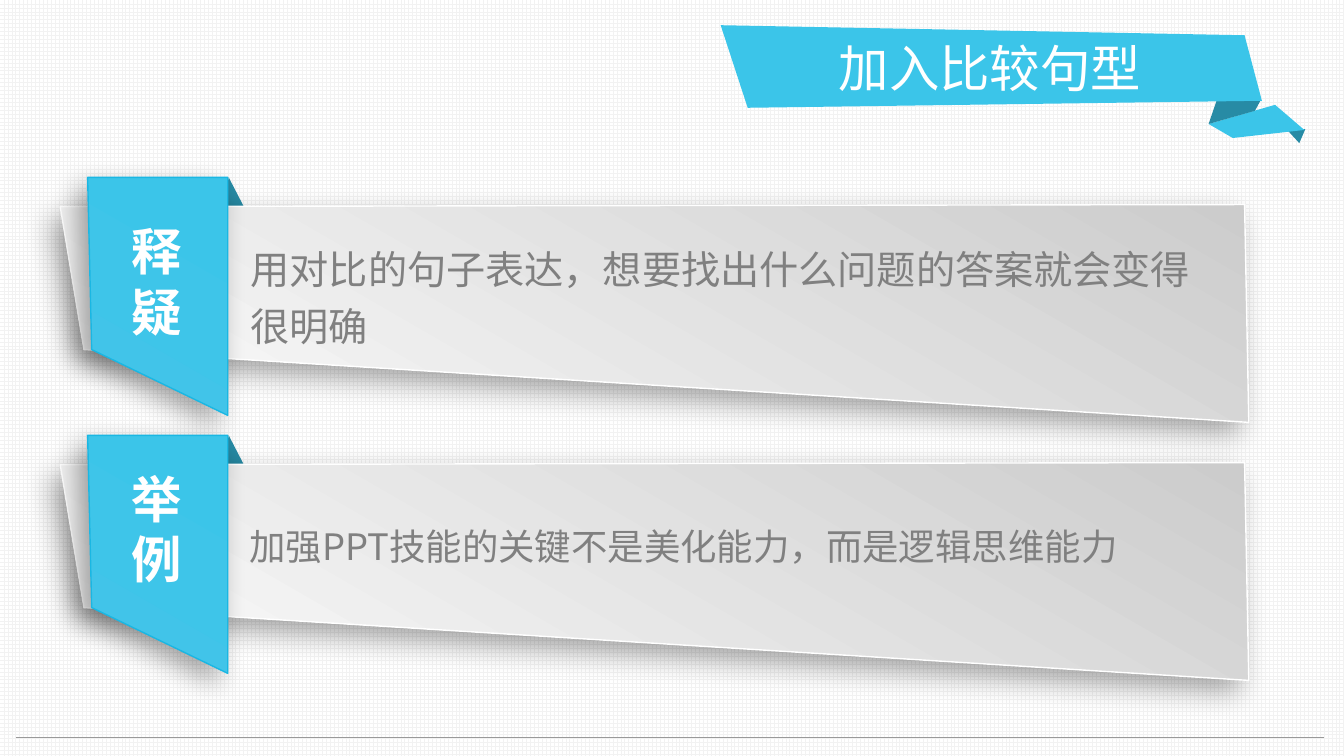
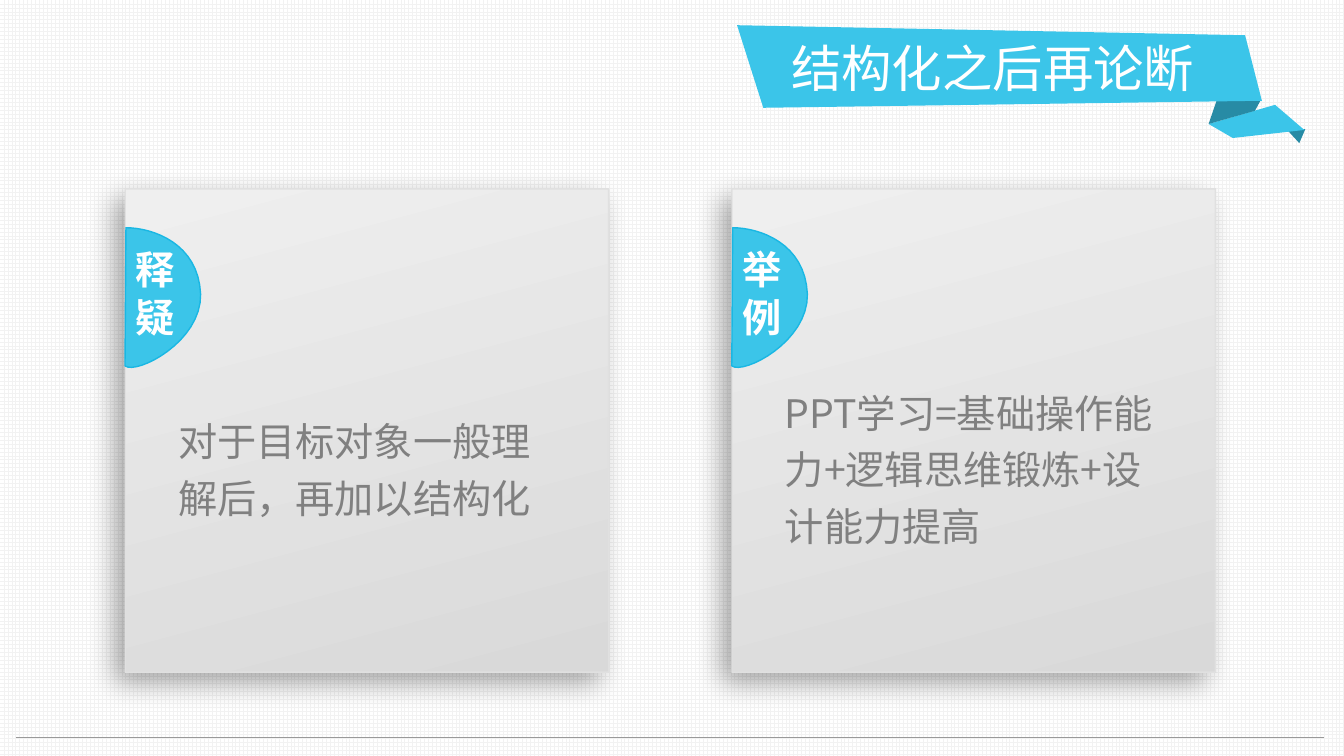
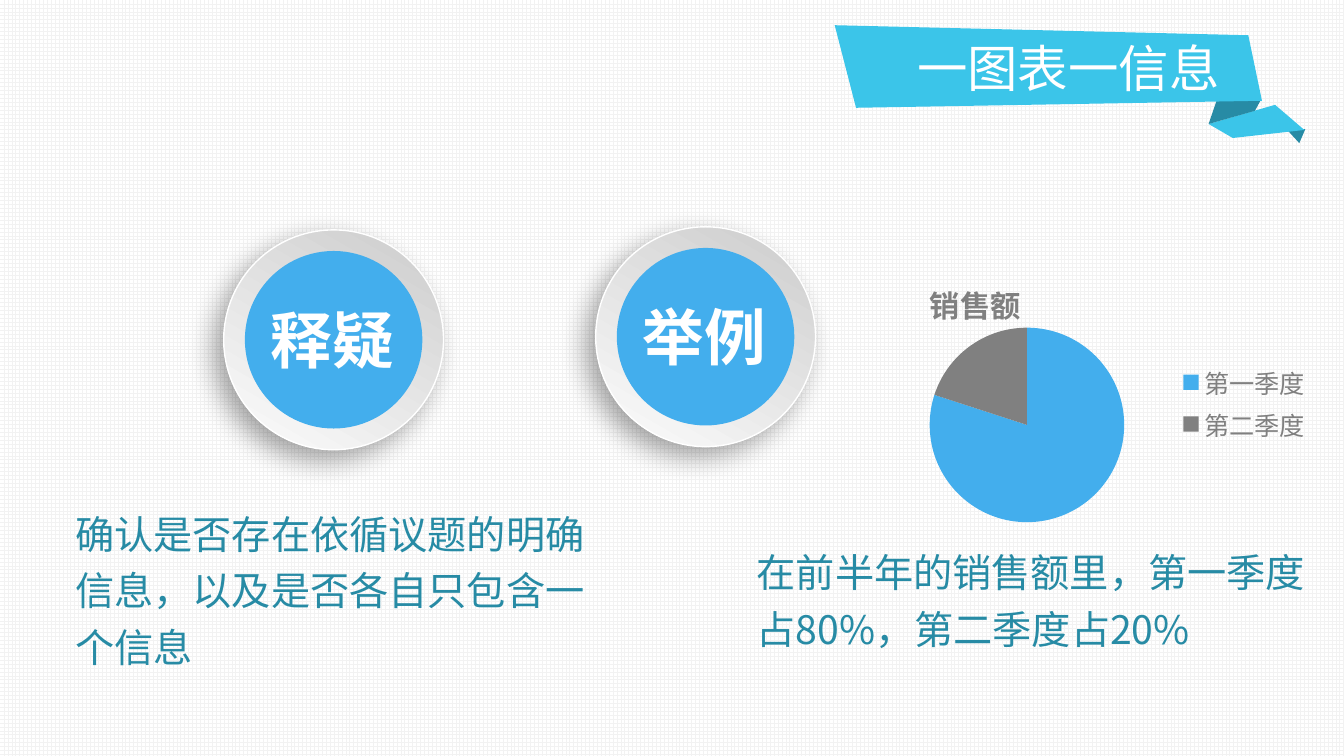
from lxml.etree import SubElement
from pptx import Presentation
from pptx.chart.data import CategoryChartData
from pptx.dml.color import RGBColor
from pptx.enum.chart import XL_CHART_TYPE, XL_LEGEND_POSITION
from pptx.enum.dml import MSO_PATTERN
from pptx.enum.shapes import MSO_CONNECTOR, MSO_SHAPE
from pptx.oxml.ns import qn
from pptx.util import Pt

FONT = "Noto Sans CJK SC"
WHITE = RGBColor(0xFF, 0xFF, 0xFF)
GRID = RGBColor(0xF2, 0xF2, 0xF2)
CYAN = RGBColor(0x3B, 0xC5, 0xE9)
CYAN_SOFT = RGBColor(0x41, 0xC4, 0xE9)
CYAN_EDGE = RGBColor(0x1A, 0xB7, 0xE3)
TEAL = RGBColor(0x27, 0x8B, 0xA5)
BLUE = RGBColor(0x43, 0xAE, 0xED)
GRAY = RGBColor(0x80, 0x80, 0x80)
RULE_GRAY = RGBColor(0x99, 0x99, 0x99)
CARD_EDGE = RGBColor(0xE0, 0xE0, 0xE0)
SILVER = [RGBColor(0xCC, 0xCC, 0xCC), RGBColor(0xFC, 0xFC, 0xFC)]
CYAN_BLEND = [CYAN, CYAN_SOFT]

RIBBON_RIGHT = 901.4
RIBBON_TAIL = (
    (TEAL, [(920.2, 93.6), (928.1, 102.2), (932.4, 92.2)]),
    (CYAN, [(910.8, 74.9), (863.3, 88.6), (880.6, 98.6), (931.7, 92.9)]),
    (TEAL, [(900.7, 71.3), (869, 72), (863.3, 88.6), (896.4, 79.2)]),
)


def bezier(start, first, second, end, steps=16):
    points = []
    for step in range(1, steps + 1):
        t = step / steps
        weights = ((1 - t) ** 3, 3 * t * (1 - t) ** 2, 3 * t * t * (1 - t), t ** 3)
        corners = (start, first, second, end)
        points.append(tuple(sum(w * c[axis] for w, c in zip(weights, corners))
                            for axis in (0, 1)))
    return points


class Deck:
    """Holds the shared style and the slide being built."""

    def __init__(self):
        self.presentation = Presentation()
        self.presentation.slide_width = Pt(960)
        self.presentation.slide_height = Pt(540)
        fill = self.presentation.slide_master.background.fill
        fill.patterned()
        fill.pattern = MSO_PATTERN.LARGE_GRID
        fill.fore_color.rgb = GRID
        fill.back_color.rgb = WHITE
        self.slide = None

    def new_slide(self, title, ribbon_left, title_left, title_width):
        self.slide = self.presentation.slides.add_slide(
            self.presentation.slide_layouts[6])
        for color, points in RIBBON_TAIL:
            self.outline(points, color)
        width = RIBBON_RIGHT - ribbon_left
        self.outline([(RIBBON_RIGHT - 0.032 * width, 25.2), (ribbon_left, 18),
                      (ribbon_left + 0.05 * width, 77), (RIBBON_RIGHT, 72)], CYAN)
        self.text([title], title_left, 23, title_width, 51, 36, WHITE)

    def style_font(self, font, size, color, bold=False):
        font.size = Pt(size)
        font.bold = bold
        font.name = FONT
        font.color.rgb = color
        SubElement(font._element, qn("a:ea"), typeface=FONT)

    def style_shape(self, shape, fill, edge=None, shadow=False):
        if isinstance(fill, list):
            shape.fill.gradient()
            shape.fill.gradient_angle = 240
            for stop, color in zip(shape.fill.gradient_stops, fill):
                stop.color.rgb = color
        else:
            shape.fill.solid()
            shape.fill.fore_color.rgb = fill
        if edge is None:
            shape.line.fill.background()
        else:
            shape.line.color.rgb = edge
            shape.line.width = Pt(1)
        shape.shadow.inherit = False
        if shadow:
            effects = shape._element.spPr.find(qn("a:effectLst"))
            outer = SubElement(effects, qn("a:outerShdw"), blurRad=str(int(Pt(20))),
                               dist=str(int(Pt(10))), dir=str(136 * 60000),
                               algn="ctr", rotWithShape="0")
            color = SubElement(outer, qn("a:srgbClr"), val="000000")
            SubElement(color, qn("a:alpha"), val="34000")

    def outline(self, points, fill, edge=None, shadow=False):
        corners = [(Pt(x), Pt(y)) for x, y in points]
        builder = self.slide.shapes.build_freeform(*corners[0])
        builder.add_line_segments(corners[1:], close=True)
        self.style_shape(builder.convert_to_shape(), fill, edge, shadow)

    def preset(self, kind, left, top, size, fill, edge=None, shadow=False, rotation=0):
        shape = self.slide.shapes.add_shape(kind, Pt(left), Pt(top), Pt(size), Pt(size))
        shape.rotation = rotation
        self.style_shape(shape, fill, edge, shadow)

    def text(self, lines, left, top, width, height, size, color, bold=False, spacing=None):
        box = self.slide.shapes.add_textbox(Pt(left), Pt(top), Pt(width), Pt(height))
        frame = box.text_frame
        frame.word_wrap = True
        frame.text = "\n".join(lines)
        for paragraph in frame.paragraphs:
            paragraph.line_spacing = spacing
            self.style_font(paragraph.font, size, color, bold)

    def bottom_rule(self):
        line = self.slide.shapes.add_connector(
            MSO_CONNECTOR.STRAIGHT, Pt(11.5), Pt(527), Pt(946), Pt(527))
        line.line.color.rgb = RULE_GRAY
        line.line.width = Pt(0.75)
        SubElement(line._element.spPr, qn("a:effectLst"))

    def banner(self, top, label, label_top):
        self.outline([(159.8, top + 20.2), (163.4, top), (174.2, top + 20.9)], TEAL)
        self.outline([(43, top + 20.9), (889, top + 19.4), (892, top + 175),
                      (60, top + 123)], SILVER, WHITE, True)
        self.outline([(62.6, top), (162.7, top), (162.7, top + 170),
                      (65.5, top + 123)], CYAN_BLEND, CYAN_EDGE, True)
        self.text(label, 87, label_top, 51.2, 94.3, 36, WHITE, True)

    def card(self, left, label, body, body_top, body_height):
        self.preset(MSO_SHAPE.DIAMOND, left, 63.4, 488.2, SILVER, CARD_EDGE, True, 135)
        self.text([body], left + 102.2, body_top, 283.7, body_height, 28, GRAY, spacing=1.2)
        bottom, top, tip = (71.3, 261.4), (72, 162.7), (125.3, 210.2)
        curve = [bottom, top]
        curve += bezier(top, (90.7, 162.7), (123.8, 173.5), tip)
        curve += bezier(tip, (126, 244.1), (79.9, 267.8), bottom)
        self.outline([(left + x, y) for x, y in curve], CYAN, CYAN_EDGE)
        self.text(label, left + 72, 172, 72, 75, 28, WHITE, True)

    def badge(self, left, top, label):
        self.preset(MSO_SHAPE.OVAL, left, top, 157, SILVER, WHITE, True)
        self.preset(MSO_SHAPE.OVAL, left + 15.1, top + 15.1, 126.8, BLUE)
        self.text([label], left + 26.6, top + 48.2, 103.8, 60.5, 44, WHITE, True)

    def place(self, parent, index, **values):
        for old in parent.findall(qn("c:layout")):
            parent.remove(old)
        layout = parent.makeelement(qn("c:layout"))
        parent.insert(index, layout)
        manual = SubElement(layout, qn("c:manualLayout"))
        for name, value in values.items():
            SubElement(manual, qn("c:" + name), val=str(value))

    def pie(self, title, values, colors, left, top, width, height):
        data = CategoryChartData()
        data.categories = list(values)
        data.add_series(title, list(values.values()))
        chart = self.slide.shapes.add_chart(
            XL_CHART_TYPE.PIE, Pt(left), Pt(top), Pt(width), Pt(height), data).chart
        self.style_font(chart.font, 18, GRAY)
        chart.has_title = True
        chart.chart_title.include_in_layout = False
        chart.chart_title.text_frame.text = title
        self.style_font(chart.chart_title.text_frame.paragraphs[0].font, 21.6, GRAY, True)
        self.place(chart.chart_title._element, 1, xMode="edge", yMode="edge", x=0.09, y=0.05)
        self.place(chart._chartSpace.find(".//" + qn("c:plotArea")), 0,
                   layoutTarget="inner", xMode="edge", yMode="edge",
                   x=0.1, y=0.24, w=0.45, h=0.67)
        chart.has_legend = True
        chart.legend.position = XL_LEGEND_POSITION.RIGHT
        chart.legend.include_in_layout = False
        self.style_font(chart.legend.font, 18, GRAY)
        plot = chart.plots[0]
        plot.vary_by_categories = True
        for index, color in enumerate(colors):
            fill = plot.series[0].points[index].format.fill
            fill.solid()
            fill.fore_color.rgb = color


def main():
    deck = Deck()

    deck.new_slide("加入比较句型", 514.8, 592, 239)
    deck.banner(126.7, ["释", "疑"], 154)
    deck.banner(311, ["举", "例"], 330.5)
    deck.text(["用对比的句子表达，想要找出什么问题的答案就会变得很明确"],
              172, 165, 690, 85, 28, GRAY, spacing=1.2)
    deck.text(["加强PPT技能的关键不是美化能力，而是逻辑思维能力"],
              171, 364.3, 717, 45.4, 26, GRAY, spacing=1.2)
    deck.bottom_rule()

    deck.new_slide("结构化之后再论断", 526.5, 558, 319.7)
    deck.card(18, ["释", "疑"], "对于目标对象一般理解后，再加以结构化", 288, 85)
    deck.card(451.4, ["举", "例"], "PPT学习=基础操作能力+逻辑思维锻炼+设计能力提高", 267.8, 126)
    deck.bottom_rule()

    deck.new_slide("一图表一信息", 596.2, 648, 239.8)
    deck.badge(159.8, 164.2, "释疑")
    deck.badge(425.5, 162, "举例")
    deck.text(["确认是否存在依循议题的明确", "信息，以及是否各自只包含一", "个信息"],
              46.8, 354.2, 382.3, 126, 28, TEAL, spacing=1.2)
    deck.pie("销售额", {"第一季度": 80, "第二季度": 20}, (BLUE, GRAY),
             632.2, 184.3, 311.8, 207.4)
    deck.text(["在前半年的销售额里，第一季度", "占80%，第二季度占20%"],
              533.5, 381.6, 410.4, 85, 28, TEAL, spacing=1.2)

    deck.presentation.save("out.pptx")


if __name__ == "__main__":
    main()
